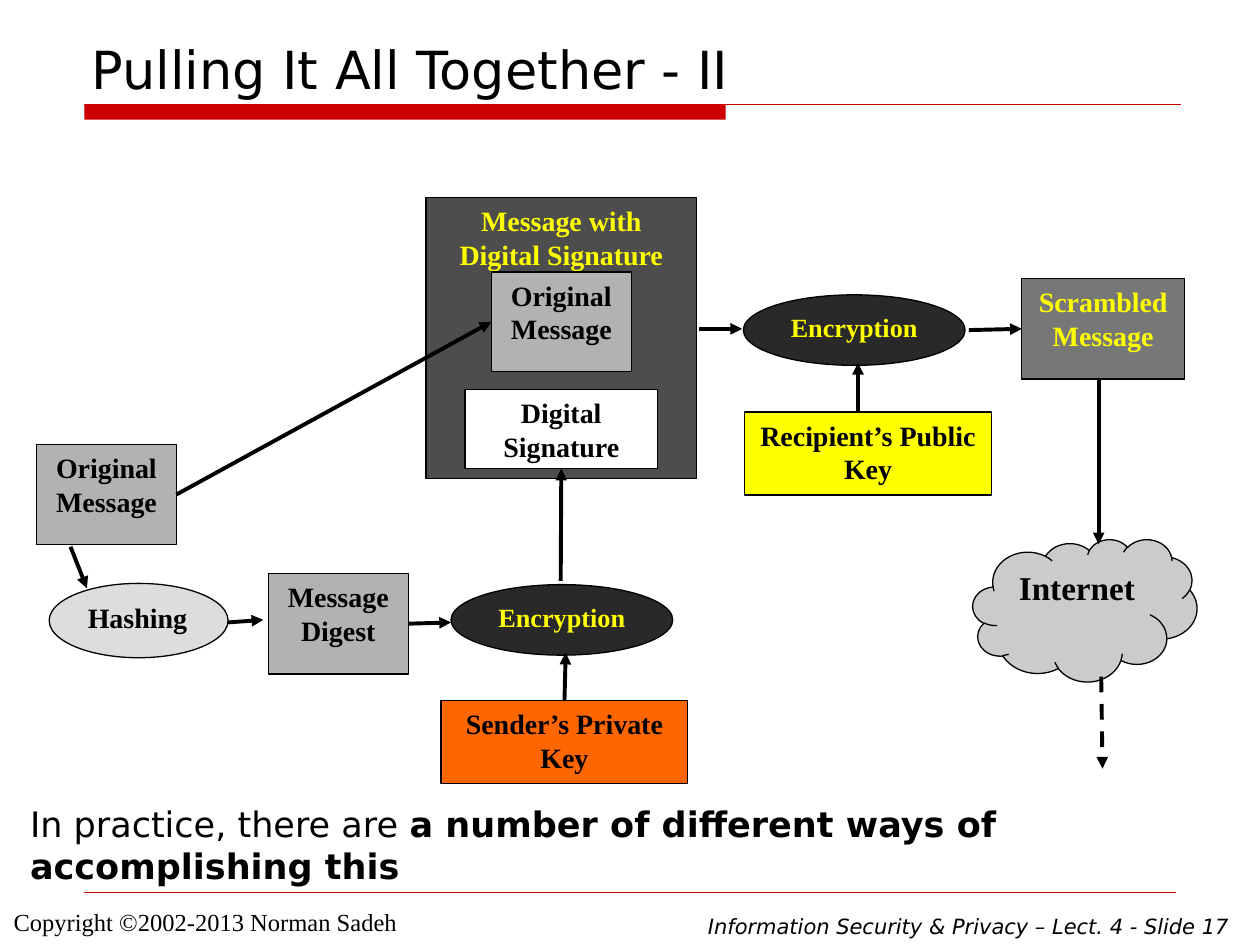
from lxml.etree import SubElement
from pptx import Presentation
from pptx.dml.color import RGBColor
from pptx.enum.dml import MSO_LINE
from pptx.enum.shapes import MSO_CONNECTOR, MSO_SHAPE
from pptx.enum.text import MSO_ANCHOR, MSO_AUTO_SIZE, PP_ALIGN
from pptx.oxml.ns import qn
from pptx.util import Inches, Pt

COLS, ROWS = 100, 75
WIDE, HIGH = Inches(10), Inches(7.5)
SANS, SERIF = "DejaVu Sans", "Times New Roman"
HEX = {
    "black": "000000", "white": "FFFFFF", "red": "CC0000",
    "yellow": "FFFF00", "orange": "FF6600", "coal": "292929",
    "dark": "4D4D4D", "mid": "777777", "gray": "B2B2B2",
    "cloud": "CBCBCB", "pale": "DDDDDD",
}
RECT, OVAL, CLOUD = MSO_SHAPE.RECTANGLE, MSO_SHAPE.OVAL, MSO_SHAPE.CLOUD
TOP, LEFT, BOTTOM, RIGHT = range(4)


def rgb(name):
    return RGBColor.from_string(HEX[name])


def place(col, row):
    """Turn a column and a row of the grid into slide lengths."""
    return round(WIDE * col / COLS), round(HIGH * row / ROWS)


def write(par, text, size, face, color="black", bold=False, italic=False):
    run = par.add_run()
    run.text = text
    font = run.font
    font.size, font.name = Pt(size), face
    font.bold, font.italic = bold, italic
    font.color.rgb = rgb(color)


def add_text(slide, at, runs, anchor=MSO_ANCHOR.TOP, wrap=True):
    """Add a one-paragraph text box; each run is a dict for write()."""
    box = slide.shapes.add_textbox(*place(*at[:2]), *place(*at[2:]))
    frame = box.text_frame
    frame.word_wrap = wrap
    frame.vertical_anchor = anchor
    frame.auto_size = MSO_AUTO_SIZE.NONE
    for run in runs:
        write(frame.paragraphs[0], **run)


def add_node(slide, kind, at, fill, lines=(), ink="black", size=16,
             align=PP_ALIGN.CENTER, edge="black"):
    node = slide.shapes.add_shape(kind, *place(*at[:2]), *place(*at[2:]))
    node.shadow.inherit = False
    node.fill.solid()
    node.fill.fore_color.rgb = rgb(fill)
    if edge:
        node.line.color.rgb = rgb(edge)
        node.line.width = Pt(0.75)
    else:
        node.line.fill.background()
    frame = node.text_frame
    frame.word_wrap = True
    frame.vertical_anchor = MSO_ANCHOR.TOP
    for i, line in enumerate(lines):
        par = frame.add_paragraph() if i else frame.paragraphs[0]
        par.alignment = align
        write(par, line, size, SERIF, ink, bold=True)
    return node


def add_line(slide, start, end, color, width):
    line = slide.shapes.add_connector(
        MSO_CONNECTOR.STRAIGHT, *place(*start), *place(*end))
    line.line.color.rgb = rgb(color)
    line.line.width = Pt(width)
    SubElement(line._element.spPr, qn("a:effectLst"))
    return line


def add_arrow(slide, start, end, tail=None, head=None, dash=False):
    """Add an arrow; tail and head are (node, side) pairs to join."""
    line = add_line(slide, start, end, "black", 2.25)
    if dash:
        line.line.dash_style = MSO_LINE.DASH
    SubElement(line.line._get_or_add_ln(), qn("a:tailEnd"), type="triangle")
    if tail:
        line.begin_connect(*tail)
    if head:
        line.end_connect(*head)


def add_frame(slide):
    add_node(slide, RECT, (6.7, 8.3, 50.9, 1.2), "red", edge=None)
    add_line(slide, (6.7, 8.3), (93.7, 8.3), "red", 0.75)
    add_line(slide, (6.7, 70.8), (93.3, 70.8), "red", 0.25)
    add_text(slide, (0.1, 71.5, 32.4, 3.4), [
        dict(text="Copyright ©2002-2013 Norman Sadeh", size=14, face=SERIF),
    ], wrap=False)
    add_text(slide, (55.2, 72, 43.9, 3.3), [
        dict(text="Information Security & Privacy – Lect. 4 - Slide 17",
             size=12, face=SANS, italic=True),
    ], wrap=False)
    add_text(slide, (6.3, 1.7, 87.5, 6.7), [
        dict(text="Pulling It All Together - II", size=30, face=SANS),
    ], anchor=MSO_ANCHOR.BOTTOM)


def add_flow(slide):
    first = ("Original", "Message")
    plain = add_node(slide, RECT, (2.9, 35.3, 11.1, 7.9), "gray", first)
    add_node(slide, OVAL, (3.9, 46.3, 14.2, 5.9), "pale", ["Hashing"],
             align=PP_ALIGN.LEFT)
    digest = add_node(slide, RECT, (21.3, 45.5, 11.1, 8), "gray",
                      ("Message", "Digest"))
    for at in ((59, 23.4), (35.8, 46.4)):
        add_node(slide, OVAL, (*at, 17.6, 5.6), "coal", ["Encryption"],
                 "yellow", 15)
    add_node(slide, RECT, (59.1, 32.7, 19.6, 6.6), "yellow",
             ["Recipient’s Public Key"])
    secret = add_node(slide, RECT, (35, 55.6, 19.6, 6.6), "orange",
                      ["Sender’s Private Key"])
    add_node(slide, RECT, (33.8, 15.7, 21.5, 22.3), "dark",
             ["Message with Digital Signature"], "yellow")
    inner = add_node(slide, RECT, (39, 21.6, 11.1, 7.9), "gray", first)
    sign = add_node(slide, RECT, (36.9, 30.9, 15.3, 6.3), "white",
                    ["Digital Signature"])
    mixed = add_node(slide, RECT, (81.1, 22.1, 12.9, 8), "mid",
                     ("Scrambled", "Message"), "yellow")
    add_node(slide, CLOUD, (77.2, 42.8, 17.8, 11.3), "cloud", ["Internet"],
             size=19)

    add_arrow(slide, (14, 39), (39, 25), (plain, RIGHT), (inner, LEFT))
    add_arrow(slide, (5.6, 43.4), (6.9, 46.7))
    add_arrow(slide, (18.1, 49.4), (20.9, 49.2))
    add_arrow(slide, (32.4, 49.4), (35.8, 49.4), tail=(digest, RIGHT))
    add_arrow(slide, (44.9, 55.4), (44.9, 51.8), tail=(secret, TOP))
    add_arrow(slide, (44.5, 46.1), (44.5, 37.1), head=(sign, BOTTOM))
    add_arrow(slide, (55.5, 26.1), (58.9, 26.1))
    add_arrow(slide, (68.1, 32.6), (68.1, 28.8))
    add_arrow(slide, (76.9, 26.2), (81.4, 26.2), head=(mixed, LEFT))
    add_arrow(slide, (87.2, 30.2), (87.2, 43.2))
    add_arrow(slide, (87.4, 53.7), (87.5, 61), dash=True)


def main():
    deck = Presentation()
    deck.slide_width, deck.slide_height = WIDE, HIGH
    slide = deck.slides.add_slide(deck.slide_layouts[6])
    add_frame(slide)
    add_flow(slide)
    add_text(slide, (1.4, 63.2, 98.6, 7.5), [
        dict(text="In practice, there are ", size=20, face=SANS),
        dict(text="a number of different ways of accomplishing this",
             size=20, face=SANS, bold=True),
    ])
    deck.save("out.pptx")


if __name__ == "__main__":
    main()
